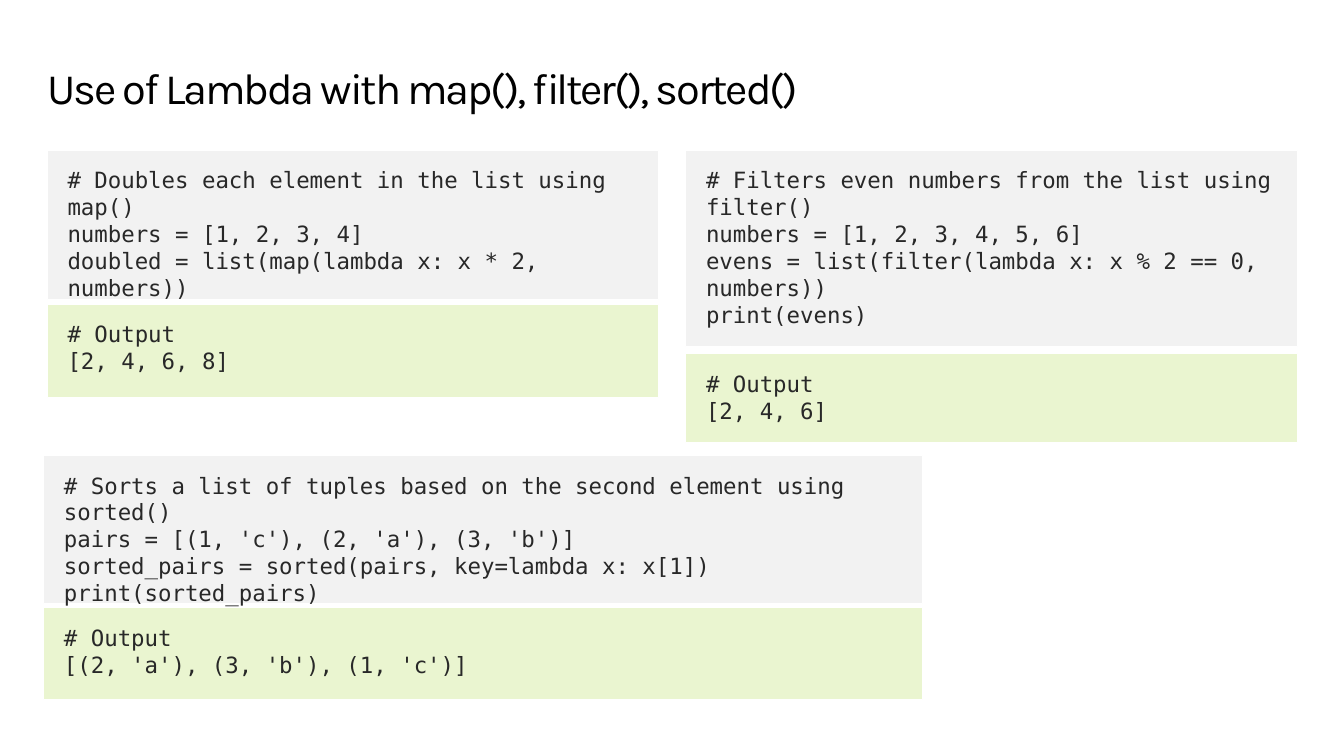
import pptx
import pptx.dml.color
import pptx.enum.shapes
import pptx.enum.text
import pptx.util

COLOURS = {"code": "F2F2F2", "output": "EAF5D0", "border": "FFFFFF", "text": "282828", "title": "000000"}
SLIDE_WIDTH = pptx.util.Inches(13.33)
SLIDE_HEIGHT = pptx.util.Inches(7.5)
COLUMN = SLIDE_WIDTH / 100
ROW = SLIDE_HEIGHT / 100

TITLE = "Use of Lambda with map(), filter(), sorted()"
EXAMPLES = [
    {
        "box": (3.53, 19.87, 45.46, 32.66),
        "code_rows": 19.73,
        "output_rows": 12.27,
        "code": [
            "# Doubles each element in the list using map()",
            "numbers = [1, 2, 3, 4]",
            "doubled = list(map(lambda x: x * 2, numbers))",
        ],
        "output": ["# Output", "[2, 4, 6, 8]"],
    },
    {
        "box": (51.03, 19.87, 45.5, 38.66),
        "code_rows": 26,
        "output_rows": 11.73,
        "code": [
            "# Filters even numbers from the list using filter()",
            "numbers = [1, 2, 3, 4, 5, 6]",
            "evens = list(filter(lambda x: x % 2 == 0, numbers))",
            "print(evens)",
        ],
        "output": ["# Output", "[2, 4, 6]"],
    },
    {
        "box": (3.26, 60.27, 65.4, 32.26),
        "code_rows": 19.6,
        "output_rows": 12.13,
        "code": [
            "# Sorts a list of tuples based on the second element using sorted()",
            "pairs = [(1, 'c'), (2, 'a'), (3, 'b')]",
            "sorted_pairs = sorted(pairs, key=lambda x: x[1])",
            "print(sorted_pairs)",
        ],
        "output": ["# Output", "[(2, 'a'), (3, 'b'), (1, 'c')]"],
    },
]


def colour(name):
    """Return the named colour."""
    return pptx.dml.color.RGBColor.from_string(COLOURS[name])


def on_grid(box):
    """Turn columns and rows into lengths on the slide."""
    left, top, width, height = box
    return [int(left * COLUMN), int(top * ROW), int(width * COLUMN), int(height * ROW)]


def set_frame(frame, margins):
    """Wrap a text frame from the top with left, top, right and bottom margins."""
    frame.word_wrap = True
    frame.vertical_anchor = pptx.enum.text.MSO_ANCHOR.TOP
    frame.margin_left, frame.margin_top, frame.margin_right, frame.margin_bottom = map(pptx.util.Inches, margins)


def set_font(font, face, size, colour_name):
    """Give a font its face, size and colour."""
    font.name = face
    font.size = pptx.util.Pt(size)
    font.color.rgb = colour(colour_name)


def add_title(slide, box):
    """Write the slide title in its box."""
    frame = slide.shapes.add_textbox(*on_grid(box)).text_frame
    set_frame(frame, (0, 0.18, 0, 0))
    frame.text = TITLE
    heading = frame.paragraphs[0]
    heading.line_spacing = 0.9
    set_font(heading.runs[0].font, "Karla", 31, "title")
    heading.runs[0].font._element.set("spc", "-150")


def add_panel(slide, box, lines, fill):
    """Draw one filled panel of monospaced lines."""
    panel = slide.shapes.add_shape(pptx.enum.shapes.MSO_SHAPE.RECTANGLE, *on_grid(box))
    panel.shadow.inherit = False
    panel.fill.solid()
    panel.fill.fore_color.rgb = colour(fill)
    panel.line.color.rgb = colour("border")
    panel.line.width = pptx.util.Pt(0.75)
    set_frame(panel.text_frame, (0.2, 0.16, 0.2, 0.16))
    panel.text_frame.text = "\n".join(lines)
    for paragraph in panel.text_frame.paragraphs:
        paragraph.alignment = pptx.enum.text.PP_ALIGN.LEFT
        set_font(paragraph.runs[0].font, "DejaVu Sans Mono", 16, "text")


def add_example(slide, example):
    """Place code at the top of the example's box and its output at the bottom."""
    left, top, width, height = example["box"]
    output_top = top + height - example["output_rows"]
    add_panel(slide, (left, top, width, example["code_rows"]), example["code"], "code")
    add_panel(slide, (left, output_top, width, example["output_rows"]), example["output"], "output")


def main():
    """Build and save the slide."""
    deck = pptx.Presentation()
    deck.slide_width, deck.slide_height = SLIDE_WIDTH, SLIDE_HEIGHT
    slide = deck.slides.add_slide(deck.slide_layouts[6])
    add_title(slide, (3.53, 6.4, 92.95, 10.8))
    for example in EXAMPLES:
        add_example(slide, example)
    deck.save("out.pptx")


if __name__ == "__main__":
    main()
